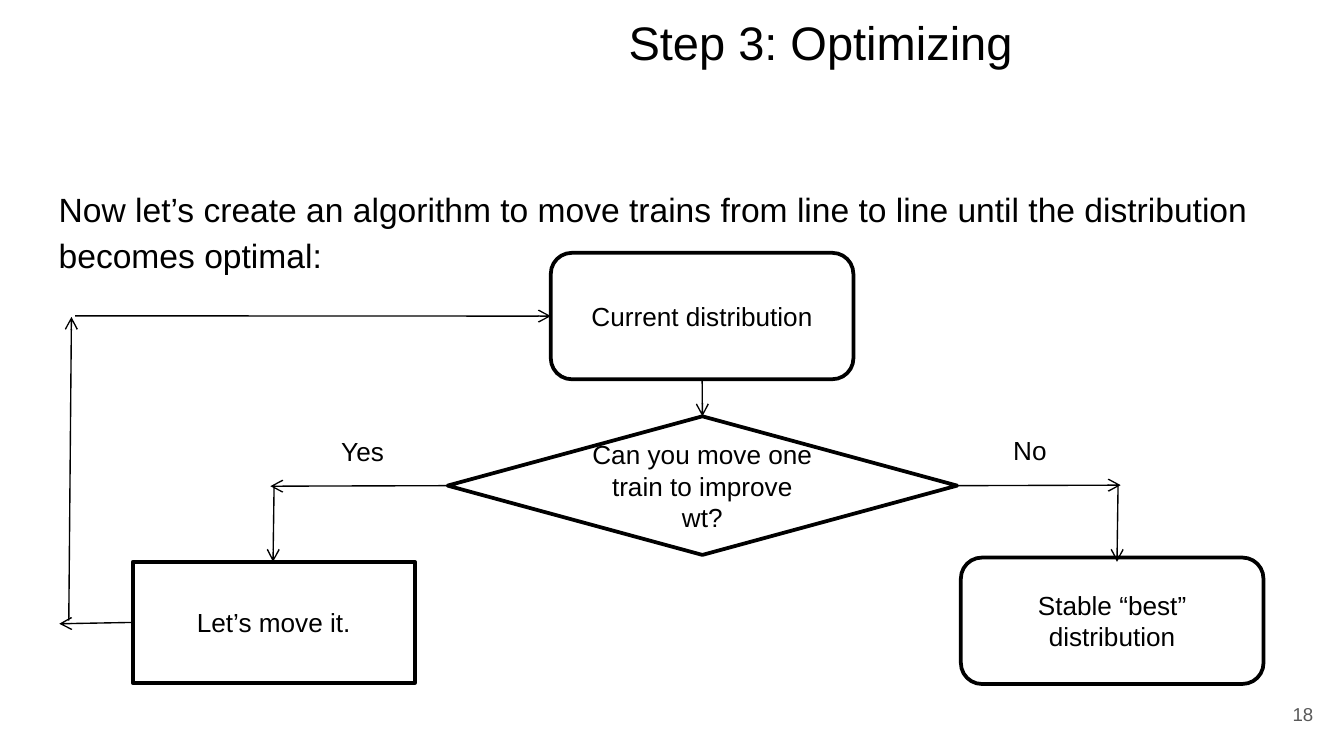
import pptx
import pptx.dml.color
import pptx.enum.shapes
import pptx.enum.text
import pptx.oxml
import pptx.oxml.ns
import pptx.util

Cm, Pt = pptx.util.Cm, pptx.util.Pt
Shape = pptx.enum.shapes.MSO_SHAPE
Align = pptx.enum.text.PP_ALIGN
Anchor = pptx.enum.text.MSO_ANCHOR

THEME = {
    "font": "Arial",
    "ink": pptx.dml.color.RGBColor(0, 0, 0),
    "muted": pptx.dml.color.RGBColor(0x59, 0x59, 0x59),
    "title": Pt(25.2), "body": Pt(18), "flow": Pt(14), "number": Pt(10),
    "outline": Pt(2), "arrow": Pt(0.75), "inset": Cm(0.25),
}

# Content: all lengths in centimetres (left, top, width, height)
TEXTS = [
    ("Step 3: Optimizing ", (6.81, 0, 17.65, 1.6), "title", "ink", Anchor.TOP,
     {"alignment": Align.CENTER}),
    ("Now let’s create an algorithm to move trains from line to line until "
     "the distribution becomes optimal:", (0.86, 3.2, 23.67, 9.5), "body", "ink", Anchor.TOP,
     {"alignment": Align.LEFT, "line_spacing": 1.15, "space_after": Pt(12)}),
    ("18", (23.55, 12.95, 1.52, 1.09), "number", "muted", Anchor.MIDDLE,
     {"alignment": Align.RIGHT}),
]
STEPS = {
    "current": ("Current distribution", Shape.FLOWCHART_ALTERNATE_PROCESS,
                (10.41, 4.78, 5.72, 2.39)),
    "decision": ("Can you move one train to improve wt?", Shape.FLOWCHART_DECISION,
                 (8.46, 7.87, 9.63, 2.62)),
    "move": ("Let’s move it.", Shape.FLOWCHART_PROCESS, (2.51, 10.62, 5.33, 2.29)),
    "best": ("Stable “best” distribution", Shape.FLOWCHART_ALTERNATE_PROCESS,
             (18.16, 10.54, 5.72, 2.39)),
}
LABELS = [("Yes", (6.2, 8.1, 1.37, 0.86)), ("No", (18.9, 8.08, 1.14, 0.86))]
# Each end is a (step, side) pair or a free (x, y) point
ARROWS = [
    (("current", "bottom"), ("decision", "top")),
    (("decision", "left"), (5.11, 9.19)),
    ((5.18, 9.19), (5.16, 10.62)),
    (("move", "left"), (1.12, 11.79)),
    ((1.3, 11.73), (1.35, 5.99)),
    ((1.42, 5.97), ("current", "left")),
    (("decision", "right"), (21.18, 9.17)),
    ((21.13, 9.19), (21.11, 10.62)),
]
SIDES = {"left": (0, 0.5), "right": (1, 0.5), "top": (0.5, 0), "bottom": (0.5, 1)}


def set_all(target, values):
    for name, value in values.items():
        setattr(target, name, value)


def write(box, text, size, color, para_format):
    para = box.text_frame.paragraphs[0]
    set_all(para, para_format)
    span = para.add_run()
    span.text = text
    set_all(span.font, {"name": THEME["font"], "size": THEME[size]})
    span.font.color.rgb = THEME[color]


def point(end):
    if end[0] in STEPS:
        left, top, width, height = STEPS[end[0]][2]
        across, down = SIDES[end[1]]
        end = (left + across * width, top + down * height)
    return [Cm(value) for value in end]


def add_text(page, text, place, size, color, frame_format, para_format):
    box = page.shapes.add_textbox(*map(Cm, place))
    set_all(box.text_frame, frame_format)
    write(box, text, size, color, para_format)


def add_step(page, text, kind, place):
    box = page.shapes.add_shape(kind, *map(Cm, place))
    box.shadow.inherit = False
    box.fill.background()
    box.line.color.rgb = THEME["ink"]
    box.line.width = THEME["outline"]
    set_all(box.text_frame, {"word_wrap": True, "vertical_anchor": Anchor.MIDDLE})
    write(box, text, "flow", "ink", {"alignment": Align.CENTER})


def add_arrow(page, start, finish):
    arrow = page.shapes.add_connector(
        pptx.enum.shapes.MSO_CONNECTOR.STRAIGHT, *point(start), *point(finish))
    arrow.line.color.rgb = THEME["ink"]
    arrow.line.width = THEME["arrow"]
    properties = arrow.line._get_or_add_ln()
    head = pptx.oxml.parse_xml(
        f'<a:tailEnd {pptx.oxml.ns.nsdecls("a")} type="arrow"/>')
    properties.append(head)
    properties.getparent().append(
        pptx.oxml.parse_xml(f'<a:effectLst {pptx.oxml.ns.nsdecls("a")}/>'))


def main():
    deck = pptx.Presentation()
    set_all(deck, {"slide_width": Cm(25.4), "slide_height": Cm(14.29)})
    page = deck.slides.add_slide(deck.slide_layouts[6])

    # Title, introduction and page number
    insets = {f"margin_{side}": THEME["inset"] for side in SIDES}
    for text, place, size, color, anchor, para_format in TEXTS:
        frame_format = {"word_wrap": True, "vertical_anchor": anchor, **insets}
        add_text(page, text, place, size, color, frame_format, para_format)

    # Flowchart
    for text, kind, place in STEPS.values():
        add_step(page, text, kind, place)
    for start, finish in ARROWS:
        add_arrow(page, start, finish)
    for text, place in LABELS:
        add_text(page, text, place, "flow", "ink", {"word_wrap": False},
                 {"alignment": Align.LEFT})

    deck.save("out.pptx")


if __name__ == "__main__":
    main()
